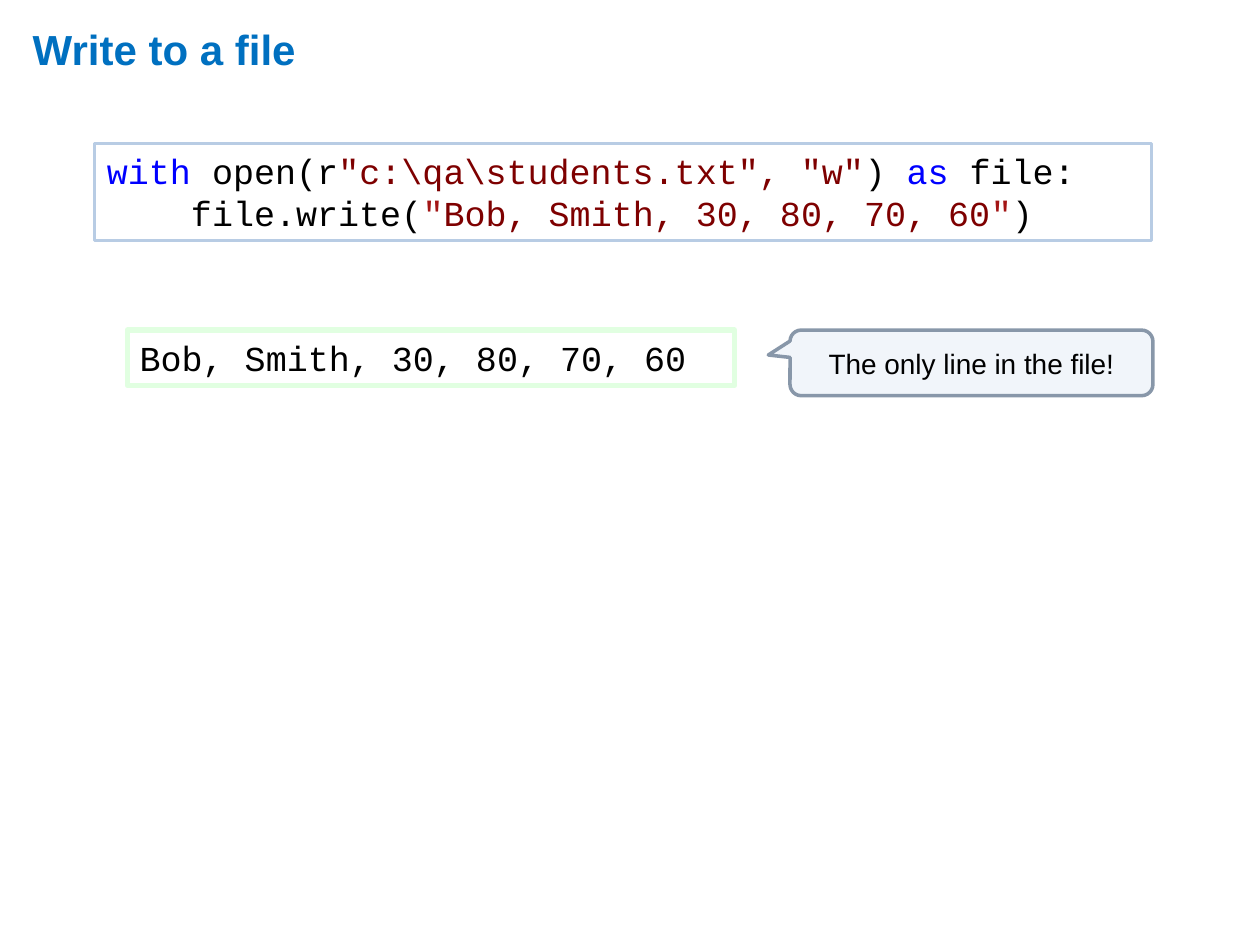
from pptx import Presentation
from pptx.dml.color import RGBColor
from pptx.enum.shapes import MSO_SHAPE as SHAPE
from pptx.enum.text import MSO_ANCHOR as ANCHOR, PP_ALIGN as ALIGN
from pptx.util import Inches, Pt

TITLE_BLUE = RGBColor(0x00, 0x70, 0xC0)
BLACK = RGBColor(0x00, 0x00, 0x00)
WHITE = RGBColor(0xFF, 0xFF, 0xFF)
KEYWORD = RGBColor(0x00, 0x00, 0xFF)
STRING = RGBColor(0x7E, 0x00, 0x00)
QUOTE = RGBColor(0xA3, 0x15, 0x15)
CODE_BORDER = RGBColor(0xB8, 0xCC, 0xE4)
FILE_BORDER = RGBColor(0xE1, 0xFF, 0xE1)
NOTE_FILL = RGBColor(0xF1, 0xF5, 0xFA)
NOTE_BORDER = RGBColor(0x88, 0x97, 0xA9)


def set_font(p, name, size, color=BLACK, bold=False):
    p.font.name = name
    p.font.size = Pt(size)
    p.font.color.rgb = color
    p.font.bold = bold


def add_title(s, text, box):
    sp = s.shapes.title
    sp.left, sp.top, sp.width, sp.height = map(Inches, box)
    tf = sp.text_frame
    tf.text = text
    tf.vertical_anchor = ANCHOR.MIDDLE
    p = tf.paragraphs[0]
    p.alignment = ALIGN.LEFT
    set_font(p, "Arial", 24, TITLE_BLUE, True)


def add_panel(s, kind, box, fill, border, weight):
    sp = s.shapes.add_shape(kind, *map(Inches, box))
    sp.shadow.inherit = False
    sp.fill.solid()
    sp.fill.fore_color.rgb = fill
    sp.line.color.rgb = border
    sp.line.width = Pt(weight)
    sp.text_frame.word_wrap = True
    return sp


def add_code(s, lines, box, border, weight):
    tf = add_panel(s, SHAPE.RECTANGLE, box, WHITE, border, weight).text_frame
    tf.vertical_anchor = ANCHOR.TOP
    for i, line in enumerate(lines):
        p = tf.add_paragraph() if i else tf.paragraphs[0]
        p.alignment = ALIGN.LEFT
        set_font(p, "Courier New", 20)
        for text, color in line:
            r = p.add_run()
            r.text = text
            r.font.color.rgb = color


def add_callout(s, text, box, adjustments):
    sp = add_panel(s, SHAPE.ROUNDED_RECTANGULAR_CALLOUT, box, NOTE_FILL, NOTE_BORDER, 2)
    for i, value in enumerate(adjustments):
        sp.adjustments[i] = value
    tf = sp.text_frame
    tf.text = text
    tf.vertical_anchor = ANCHOR.MIDDLE
    p = tf.paragraphs[0]
    p.alignment = ALIGN.CENTER
    set_font(p, "Arial", 16)


RECORD = "Bob, Smith, 30, 80, 70, 60"
WRITE_CODE = [
    [("with", KEYWORD), (" open(r", BLACK), ('"c:\\qa\\students.txt", "w"', STRING),
     (") ", BLACK), ("as", KEYWORD), (" file:", BLACK)],
    [("    file.write(", BLACK), ('"', QUOTE), (RECORD, STRING), ('"', QUOTE), (")", BLACK)],
]

prs = Presentation()
prs.slide_width, prs.slide_height = Inches(10), Inches(7.5)
s = prs.slides.add_slide(prs.slide_layouts[5])
add_title(s, "Write to a file", (0.16, 0.11, 9.61, 0.55))
add_code(s, [[(RECORD, BLACK)]], (1.01, 2.62, 4.82, 0.44), FILE_BORDER, 3)
add_code(s, WRITE_CODE, (0.75, 1.14, 8.39, 0.77), CODE_BORDER, 2)
add_callout(s, "The only line in the file!", (6.27, 2.62, 2.88, 0.52), (-0.56, -0.12, 0.17))
prs.save("out.pptx")
